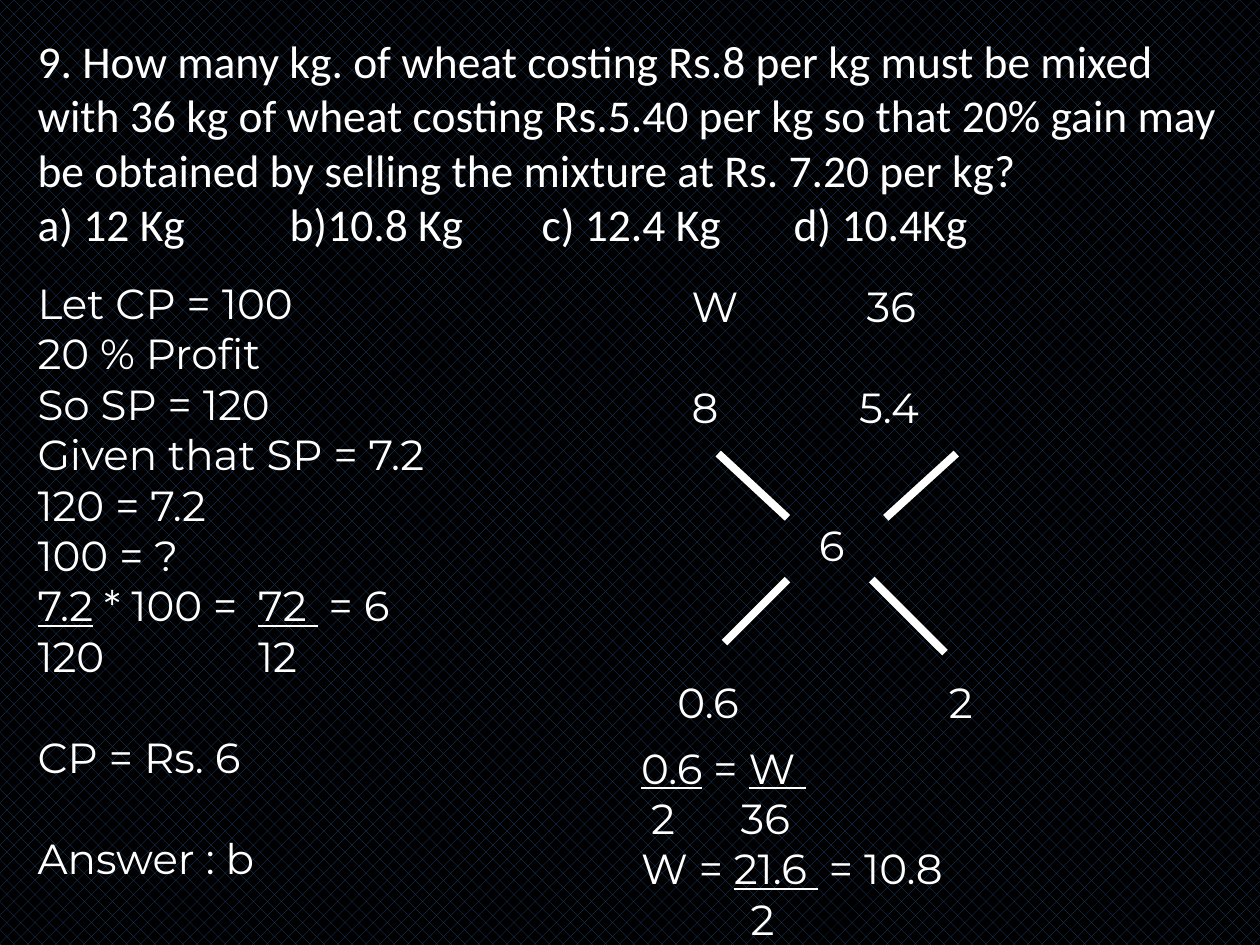
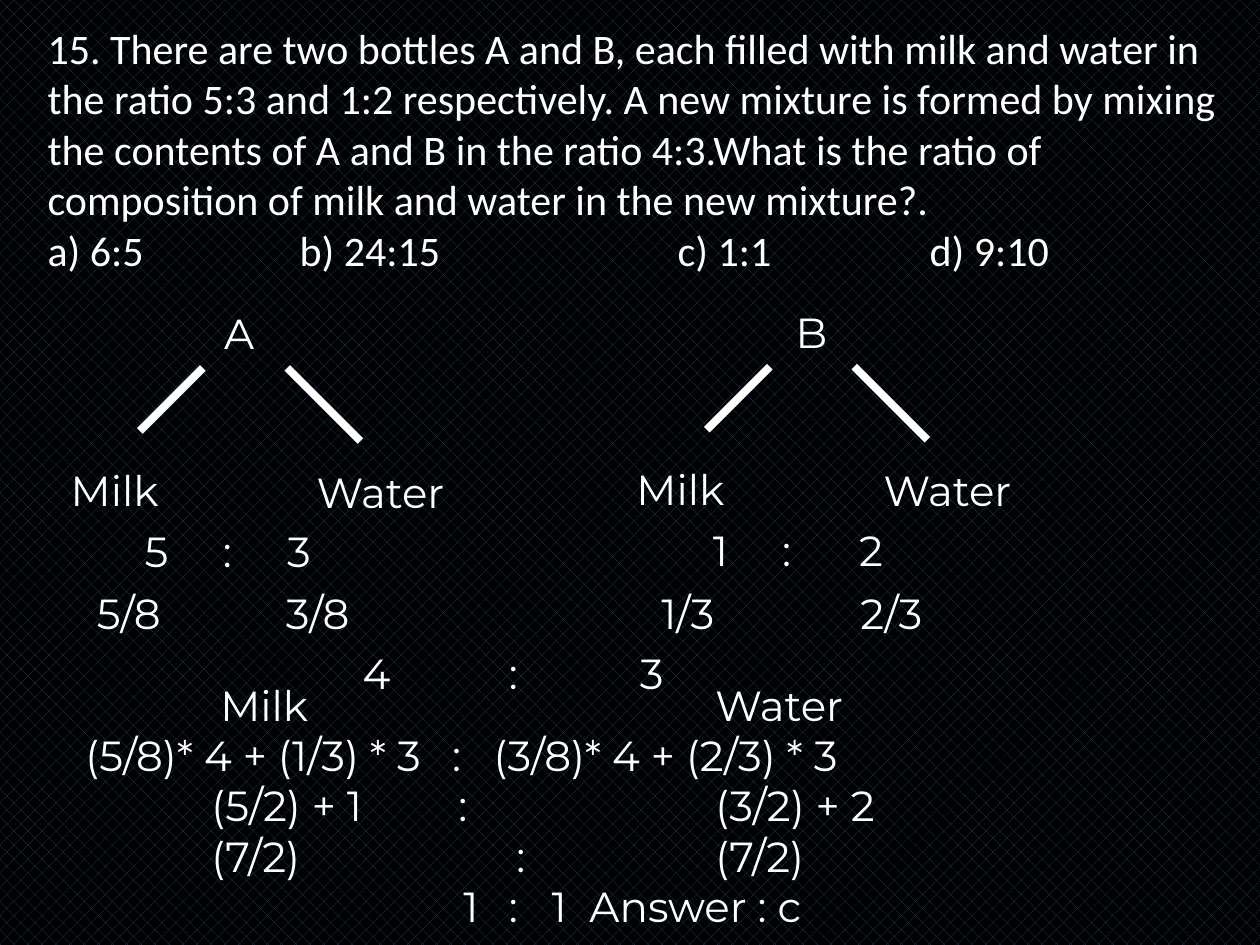
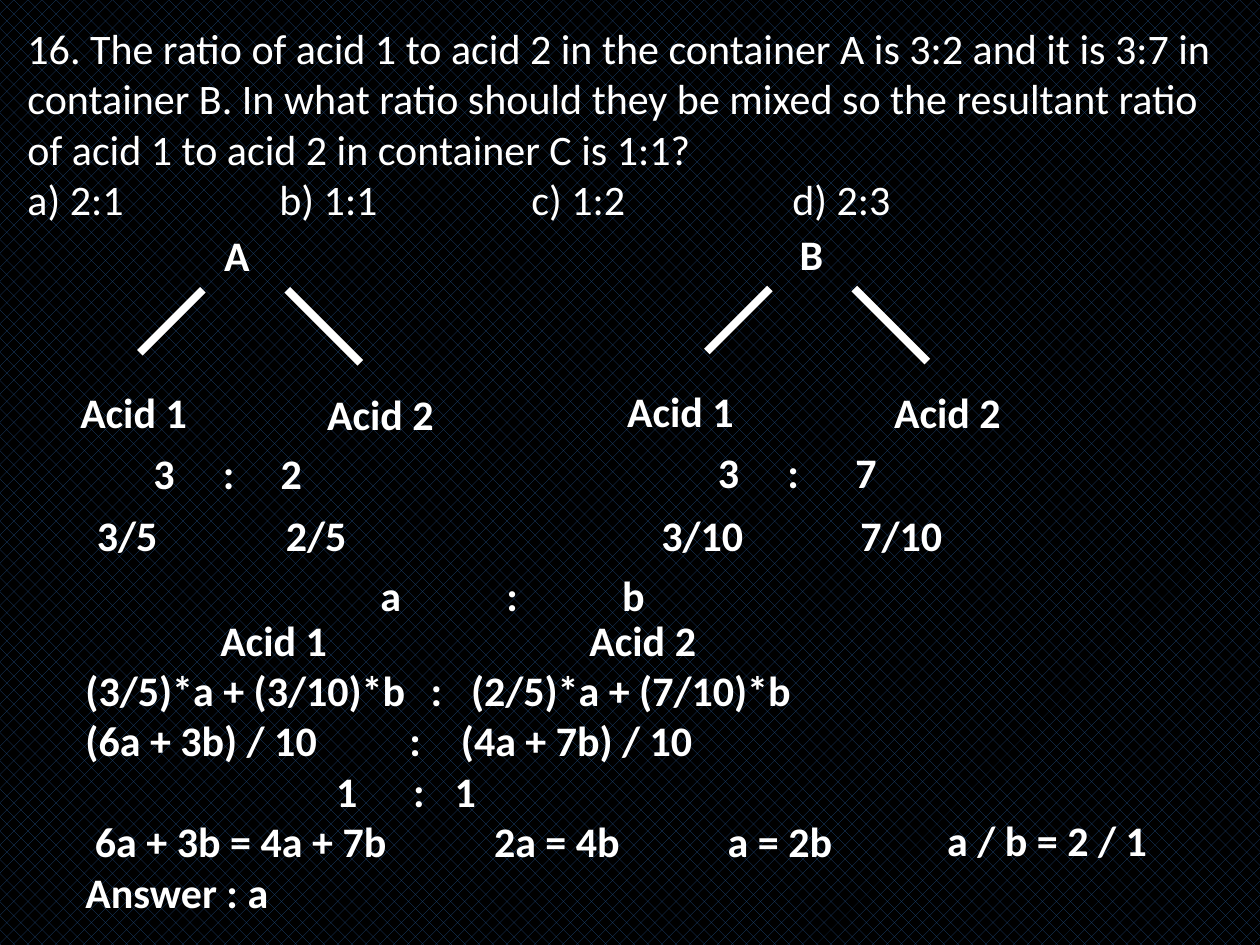
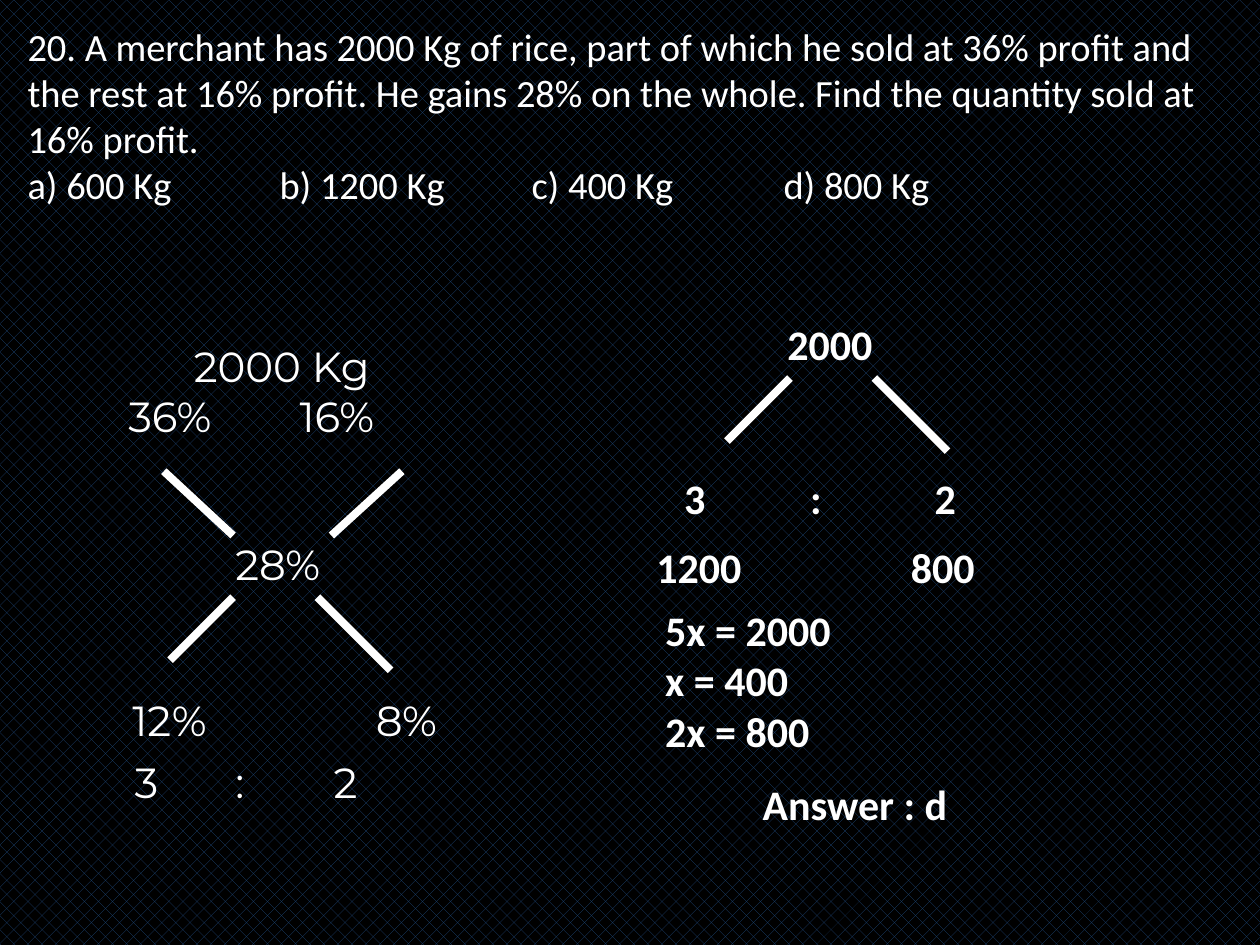
from lxml import etree
from pptx import Presentation
from pptx.dml.color import RGBColor
from pptx.enum.dml import MSO_PATTERN
from pptx.enum.shapes import MSO_CONNECTOR
from pptx.enum.text import MSO_ANCHOR, PP_ALIGN
from pptx.oxml.ns import qn
from pptx.util import Inches, Pt

rgb = RGBColor.from_string
WHITE, NAVY, BLACK = "FFFFFF", "1F497D", "000000"
INSET = 0.1    # default left margin of a text box
ROW_H = 0.48   # box holding one line of text
GAP = 29       # one empty line at 24 pt

# Text formats
BODY = {"name": "Montserrat", "size": Pt(24)}
BOLD = {"name": "Calibri", "size": Pt(24), "bold": True}
LEFT, CENTER = PP_ALIGN.LEFT, PP_ALIGN.CENTER


def add_text(s, x, y, w, h, paras, fmt, align=LEFT, anchor=MSO_ANCHOR.MIDDLE):
    """Each paragraph is text or (text, tab stops on the slide, space before).

    Underscores switch underlining on and off.
    """
    tf = s.shapes.add_textbox(Inches(x), Inches(y), Inches(w), Inches(h)).text_frame
    tf.word_wrap = True
    tf.vertical_anchor = anchor
    for i, para in enumerate(paras):
        text, stops, before = para if isinstance(para, tuple) else (para, [], 0)
        p = tf.paragraphs[0] if i == 0 else tf.add_paragraph()
        p.alignment = align
        if stops:
            tabs = etree.SubElement(p._p.get_or_add_pPr(), qn("a:tabLst"))
            for stop in stops:
                pos = str(Inches(stop - x - INSET))
                etree.SubElement(tabs, qn("a:tab"), pos=pos, algn="l")
        if before:
            p.space_before = Pt(before)
        for j, part in enumerate(text.split("_")):
            if part:
                r = p.add_run()
                r.text = part
                for key, value in fmt.items():
                    setattr(r.font, key, value)
                r.font.color.rgb = rgb(WHITE)
                if j % 2:
                    r.font.underline = True


def add_branches(s, x, y, cross=False):
    """Two branches going down from y; a cross has two more above them."""
    lines = [(0, 0.5, 0.5, 0), (1.17, 0, 1.75, 0.58)]
    if cross:
        lines += [(-0.05, -1, 0.5, -0.49), (1.28, -0.49, 1.84, -1)]
    for x1, y1, x2, y2 in lines:
        ln = s.shapes.add_connector(MSO_CONNECTOR.STRAIGHT, Inches(x + x1), Inches(y + y1),
                                    Inches(x + x2), Inches(y + y2))
        ln.line.color.rgb = rgb(WHITE)
        ln.line.width = Pt(4.5)
        etree.SubElement(ln._element.spPr, qn("a:effectLst"))


prs = Presentation()
prs.slide_width, prs.slide_height = Inches(10), Inches(7.5)

# Shared background
fill = prs.slide_master.background.fill
fill.patterned()
fill.pattern = MSO_PATTERN.PERCENT_25
fill.fore_color.rgb = rgb(NAVY)
fill.back_color.rgb = rgb(BLACK)

# Questions: box, size, text, options, option tab stops
questions = [
    (0.2, 0.21, 9.69, 1.85, 26,
     "9. How many kg. of wheat costing Rs.8 per kg must be mixed with 36 kg of wheat "
     "costing Rs.5.40 per kg so that 20% gain may be obtained by selling the mixture "
     "at Rs. 7.20 per kg?",
     "a) 12 Kg\tb)10.8 Kg\tc) 12.4 Kg\td) 10.4Kg", [2.3, 4.3, 6.3]),
    (0.28, 0.13, 9.53, 2.12, 24,
     "15. There are two bottles A and B, each filled with milk and water in the ratio "
     "5:3 and 1:2 respectively. A new mixture is formed by mixing the contents of A and "
     "B in the ratio 4:3.What is the ratio of composition of milk and water in the new "
     "mixture?.",
     "a) 6:5\tb) 24:15\tc) 1:1\td) 9:10", [2.38, 5.38, 7.38]),
    (0.12, 0.13, 9.76, 1.72, 24,
     "16. The ratio of acid 1 to acid 2 in the container A is 3:2 and it is 3:7 in "
     "container B. In what ratio should they be mixed so the resultant ratio of acid 1 "
     "to acid 2 in container C is 1:1?",
     "a) 2:1\tb) 1:1\tc) 1:2\td) 2:3", [2.22, 4.22, 6.29]),
    (0.12, 0.13, 9.69, 1.58, 22,
     "20. A merchant has 2000 Kg of rice, part of which he sold at 36% profit and the "
     "rest at 16% profit. He gains 28% on the whole. Find the quantity sold at 16% "
     "profit.",
     "a) 600 Kg\tb) 1200 Kg\tc) 400 Kg\td) 800 Kg", [2.22, 4.22, 6.22]),
]
slides = []
for x, y, w, h, size, question, options, stops in questions:
    s = prs.slides.add_slide(prs.slide_layouts[6])
    add_text(s, x, y, w, h, [question, (options, stops, 0)],
             {"name": "Calibri", "size": Pt(size)}, anchor=MSO_ANCHOR.TOP)
    slides.append(s)
wheat, milk, acid, rice = slides

# Wheat: cost price on the left
add_text(wheat, 0.2, 2.07, 4.84, 5.07, [
    "Let CP = 100", "20 % Profit", "So SP = 120", "Given that SP = 7.2", "120 = 7.2",
    "100 = ?",
    ("_7.2_ * 100 =\t_72 _ = 6", [2.05], 0),
    ("120\t12", [2.05], 0),
    ("CP = Rs. 6", [], GAP),
    ("Answer : b", [], GAP)], BODY)

# Wheat: alligation cross and result
add_text(wheat, 5.39, 2.1, 2.47, 1.45,
         [("W\t36", [6.88], 0), ("8\t5.4", [6.82], GAP)], BODY)
add_branches(wheat, 5.75, 4.6, cross=True)
for x, y, w, label in [(6.25, 4.08, 0.7, "6"), (6.95, 5.33, 1.35, "2"),
                       (4.99, 5.33, 1.26, "0.6")]:
    add_text(wheat, x, y, w, ROW_H, [label], BODY, CENTER)
add_text(wheat, 4.99, 5.84, 4.1, 1.72, [
    "_0.6_ = _W _",
    ("\t2\t36", [5.17, 5.88], 0),
    "W = _21.6 _ = 10.8",
    ("\t2", [5.96], 0)], BODY, anchor=MSO_ANCHOR.TOP)

# Milk and acid: two containers side by side, each split into two parts
# top, format, parts, x of first part, ratios, shares with widths, mixing ratio
mixtures = [
    (milk, 2.4, BODY, ("Milk", "Water"), 0.2,
     [("\t5\t:\t3", [1.15, 1.77, 2.28]), ("\t1\t:\t2", [5.66, 6.21, 6.82])],
     [("5/8", 0.79), ("3/8", 0.79), ("1/3", 0.79), ("2/3", 0.79)],
     ("\t4\t:\t3", [2.88, 4.04, 5.08], 0)),
    (acid, 1.78, BOLD, ("Acid 1", "Acid 2"), 0.35,
     [("\t3\t:\t2", [1.22, 1.77, 2.23]), ("\t3\t:\t7", [5.7, 6.25, 6.79])],
     [("3/5", 0.79), ("2/5", 0.79), ("3/10", 0.96), ("7/10", 1.1)],
     ("\ta\t:\tb", [3.02, 4.02, 4.94], 0)),
]
for s, top, fmt, (part1, part2), part_x, ratios, shares, mix in mixtures:
    add_text(s, 1.68, top, 0.53, ROW_H, ["A"], fmt)
    add_text(s, 6.11, top - 0.01, 0.66, ROW_H, ["B"], fmt, CENTER)
    containers = [(1.11, top, part_x, 2.31, 0.38), (5.61, top - 0.01, 4.69, 6.81, 4.69)]
    for (tree_x, y, x1, x2, ratio_x), (ratio, stops) in zip(containers, ratios):
        add_branches(s, tree_x, y + 0.52)
        add_text(s, x1, y + 1.25, 1.42, ROW_H, [part1], fmt, CENTER)
        add_text(s, x2, y + 1.26, 1.42, ROW_H, [part2], fmt, CENTER)
        add_text(s, ratio_x, y + 1.73, 3.3, ROW_H, [(ratio, stops, 0)], fmt)
    for x, (share, w) in zip([0.67, 2.17, 5.15, 6.73], shares):
        add_text(s, x, top + 2.22, w, ROW_H, [share], fmt)
    add_text(s, 0.65, top + 2.7, 6.87, ROW_H, [mix], fmt)

# Milk: working
add_text(milk, 0.58, 5.48, 7.42, 1.82, [
    ("\tMilk\tWater", [1.75, 5.68], 0),
    ("(5/8)* 4 + (1/3) * 3\t:\t(3/8)* 4 + (2/3) * 3", [3.59, 3.92], 0),
    ("\t(5/2) + 1\t:\t(3/2) + 2", [1.68, 3.64, 5.68], 0),
    ("\t(7/2)\t:\t(7/2)", [1.68, 4.1, 5.68], 0),
    ("\t1\t:\t1\tAnswer : c", [3.68, 4.04, 4.38, 4.68], 0)], BODY)

# Acid: working
add_text(acid, 0.58, 4.86, 8.79, 2.43, [
    ("\tAcid 1\tAcid 2", [1.75, 4.68], 0),
    ("(3/5)*a + (3/10)*b\t:\t(2/5)*a + (7/10)*b", [3.42, 3.74], 0),
    ("(6a + 3b) / 10\t:\t(4a + 7b) / 10", [3.25, 3.66], 0),
    ("\t1\t:\t1", [2.67, 3.28, 3.61], 0),
    " 6a + 3b = 4a + 7b",
    "Answer : a"], BOLD)
for x, y, step in [(3.38, 6.43, "2a = 4b"), (5.15, 6.43, "a = 2b"),
                   (7.27, 6.42, "a / b = 2 / 1")]:
    add_text(acid, x, y, 2.08, ROW_H, [step], BOLD, CENTER)

# Rice: alligation cross
add_text(rice, 0.67, 2.47, 3.07, 1.26,
         [("\t2000 Kg", [1.54], 0), ("\t36%\t16%", [1.02, 2.38], 0)], BODY)
add_branches(rice, 1.35, 4.74, cross=True)
for x, y, w, label in [(1.6, 4.23, 1.21, "28%"), (2.55, 5.47, 1.35, "8%"),
                       (0.67, 5.47, 1.35, "12%")]:
    add_text(rice, x, y, w, ROW_H, [label], BODY, CENTER)
add_text(rice, 0.91, 5.96, 2.54, ROW_H, [("\t3\t:\t2", [1.07, 1.87, 2.65], 0)], BODY)

# Rice: split of the total
add_text(rice, 6.02, 2.49, 1.21, ROW_H, [("\t2000", [6.25], 0)], BOLD)
add_branches(rice, 5.77, 3)
add_text(rice, 5.04, 3.71, 2.89, ROW_H, [("\t3\t:\t2", [5.43, 6.43, 7.42], 0)], BOLD)
add_text(rice, 5.04, 4.26, 2.89, ROW_H, [("\t1200\t800", [5.21, 7.23], 0)], BOLD)
add_text(rice, 5.18, 4.84, 2.89, 1.11, ["5x = 2000", "x = 400", "2x = 800"], BOLD)
add_text(rice, 5.34, 6.14, 2.89, ROW_H, ["Answer : d"], BOLD, CENTER)

prs.save("out.pptx")
